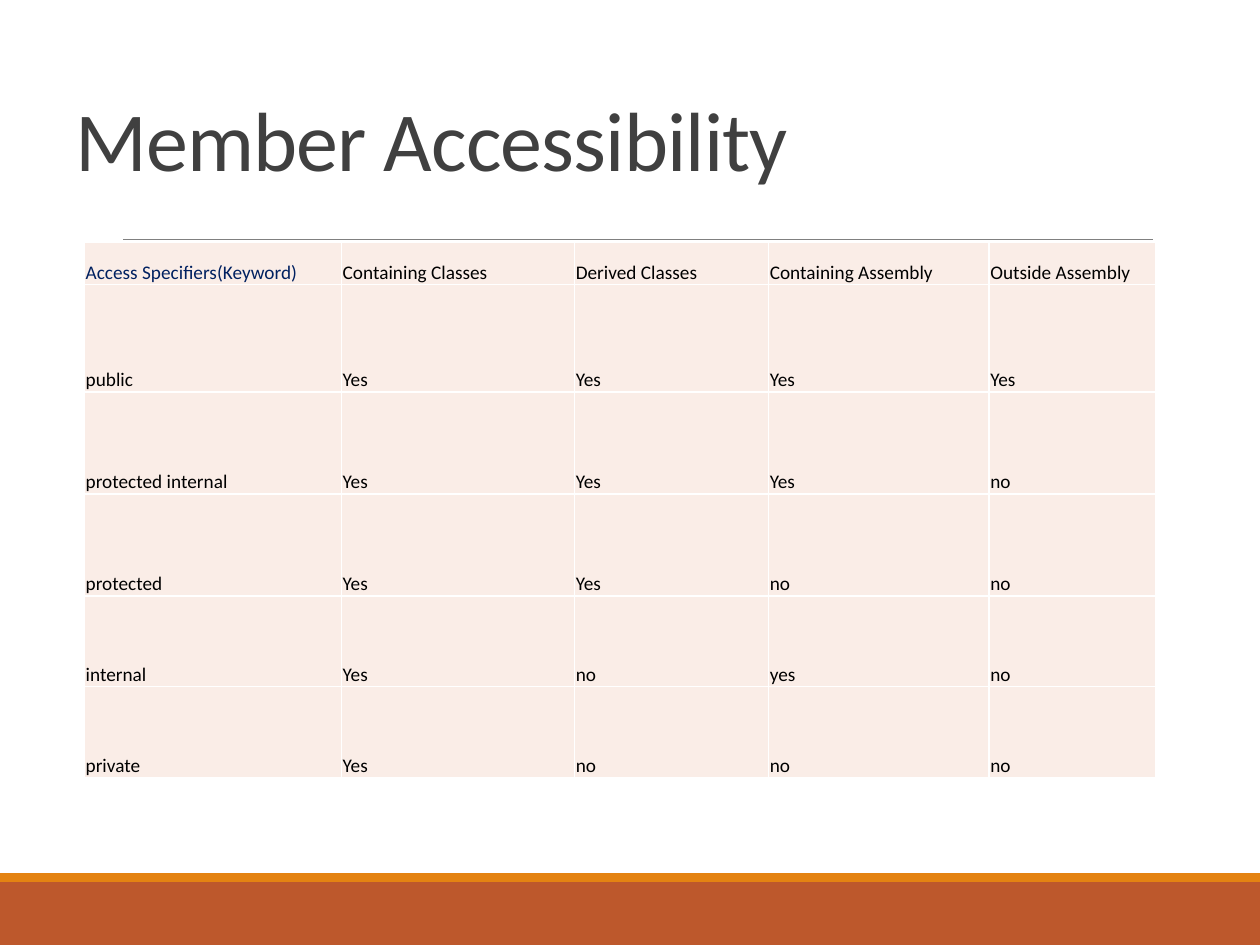
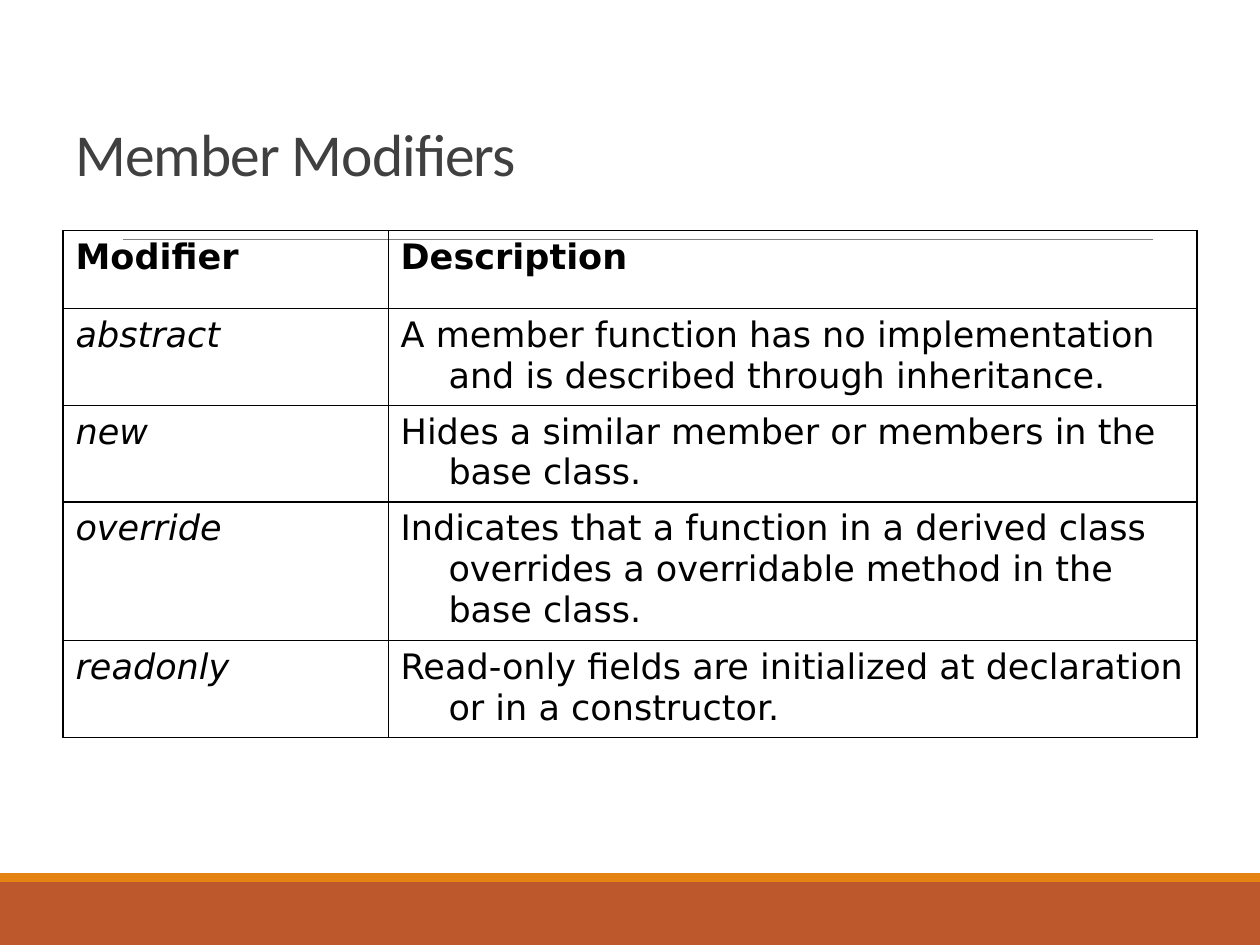
from dataclasses import dataclass, field
from typing import Any

from lxml import etree
from pptx import Presentation
from pptx.dml import color as dml
from pptx.enum import shapes, text
from pptx.oxml import ns
from pptx.util import Inches, Pt

COLORS = {
    "band": "BD582C",
    "stripe": "E48312",
    "rule": "808080",
    "title": "404040",
    "keyword": "002060",
    "ink": "000000",
    "cell": "FAEDE7",
    "white": "FFFFFF",
}


@dataclass(frozen=True)
class Band:
    top: float
    height: float
    color: str


@dataclass(frozen=True)
class TableStyle:
    font: dict[str, Any]
    border_color: str
    border_points: float
    cell_format: dict[str, Any] = field(default_factory=dict)
    cell_color: str | None = None
    hanging_indent: float = 0


@dataclass(frozen=True)
class TableSlide:
    title: str
    title_size: int
    left: float
    top: float
    columns: list[float]
    row_heights: list[float]
    rows: list[list[str]]
    style: TableStyle
    special_fonts: dict[str, dict[str, Any]]


BANDS = [Band(7, 0.5, "band"), Band(6.93, 0.07, "stripe")]

ACCESS_STYLE = TableStyle(
    font={"name": "Calibri", "size": Pt(11)},
    border_color="white",
    border_points=1,
    cell_format={
        "vertical_anchor": text.MSO_ANCHOR.BOTTOM,
        "margin_left": Inches(0.01),
        "margin_right": Inches(0.01),
        "margin_top": Inches(0.01),
        "margin_bottom": Inches(0),
    },
    cell_color="cell",
)
MODIFIER_STYLE = TableStyle(
    font={"name": "DejaVu Sans", "size": Pt(20)},
    border_color="ink",
    border_points=0.75,
    hanging_indent=0.38,
)

MODIFIERS = {
    "abstract": "A member function has no implementation and is described through inheritance.",
    "new": "Hides a similar member or members in the base class.",
    "override": "Indicates that a function in a derived class overrides a overridable method in the base class.",
    "readonly": "Read-only fields are initialized at declaration or in a constructor.",
}

TABLE_SLIDES = [
    TableSlide(
        title="Member Accessibility",
        title_size=48,
        left=0.67,
        top=1.92,
        columns=[2.04, 1.85, 1.54, 1.75, 1.32],
        row_heights=[0.34, 0.85, 0.81, 0.81, 0.72, 0.72],
        rows=[
            ["Access Specifiers(Keyword)", "Containing Classes", "Derived Classes",
             "Containing Assembly", "Outside Assembly"],
            ["public", "Yes", "Yes", "Yes", "Yes"],
            ["protected internal", "Yes", "Yes", "Yes", "no"],
            ["protected", "Yes", "Yes", "no", "no"],
            ["internal", "Yes", "no", "yes", "no"],
            ["private", "Yes", "no", "no", "no"],
        ],
        style=ACCESS_STYLE,
        special_fonts={"Access Specifiers(Keyword)": {"color": "keyword"}},
    ),
    TableSlide(
        title="Member Modifiers",
        title_size=34,
        left=0.5,
        top=1.83,
        columns=[2.58, 6.42],
        row_heights=[0.62, 0.75, 0.75, 1.07, 0.75],
        rows=[["Modifier", "Description"], *map(list, MODIFIERS.items())],
        style=MODIFIER_STYLE,
        special_fonts={
            **dict.fromkeys(["Modifier", "Description"], {"bold": True}),
            **dict.fromkeys(MODIFIERS, {"italic": True}),
        },
    ),
]


def rgb(name: str) -> dml.RGBColor:
    return dml.RGBColor.from_string(COLORS[name])


def apply_format(target: Any, values: dict[str, Any]) -> None:
    for name, value in values.items():
        setattr(target, name, value)


def format_font(font: Any, values: dict[str, Any]) -> None:
    values = dict(values)
    font.color.rgb = rgb(values.pop("color", "ink"))
    apply_format(font, values)


def draw_frame(slide: Any) -> None:
    for band in BANDS:
        shape = slide.shapes.add_shape(
            shapes.MSO_SHAPE.RECTANGLE, 0, Inches(band.top), Inches(10), Inches(band.height))
        shape.shadow.inherit = False
        shape.fill.solid()
        shape.fill.fore_color.rgb = rgb(band.color)
        shape.line.fill.background()
    rule = slide.shapes.add_connector(
        shapes.MSO_CONNECTOR.STRAIGHT, Inches(0.98), Inches(1.9), Inches(9.15), Inches(1.9))
    rule.line.color.rgb = rgb("rule")
    rule.line.width = Pt(0.5)
    etree.SubElement(rule._element.spPr, ns.qn("a:effectLst"))


def draw_title(slide: Any, title: str, size: int) -> None:
    box = slide.shapes.add_textbox(Inches(0.5), Inches(0.3), Inches(9), Inches(1.25))
    apply_format(box.text_frame, {"word_wrap": True, "vertical_anchor": text.MSO_ANCHOR.BOTTOM})
    paragraph = box.text_frame.paragraphs[0]
    paragraph.line_spacing = 0.85
    run = paragraph.add_run()
    run.text = title
    format_font(run.font, {"name": "Calibri", "size": Pt(size), "color": "title"})
    run.font._element.set("spc", "-50")


def draw_borders(cell: Any, style: TableStyle) -> None:
    properties = cell._tc.get_or_add_tcPr()
    for index, side in enumerate(["lnL", "lnR", "lnT", "lnB"]):
        line = etree.Element(ns.qn(f"a:{side}"), w=str(Pt(style.border_points)))
        fill = etree.SubElement(line, ns.qn("a:solidFill"))
        etree.SubElement(fill, ns.qn("a:srgbClr"), val=COLORS[style.border_color])
        properties.insert(index, line)


def fill_cell(cell: Any, content: str, style: TableStyle, special: dict[str, Any]) -> None:
    apply_format(cell, style.cell_format)
    if style.cell_color:
        cell.fill.solid()
        cell.fill.fore_color.rgb = rgb(style.cell_color)
    else:
        cell.fill.background()
    draw_borders(cell, style)
    paragraph = cell.text_frame.paragraphs[0]
    if style.hanging_indent:
        indent = Inches(style.hanging_indent)
        properties = paragraph._p.get_or_add_pPr()
        properties.set("marL", str(indent))
        properties.set("indent", str(-indent))
    run = paragraph.add_run()
    run.text = content
    format_font(run.font, {**style.font, **special})


def draw_table(slide: Any, content: TableSlide) -> None:
    table = slide.shapes.add_table(
        len(content.rows), len(content.columns), Inches(content.left), Inches(content.top),
        Inches(sum(content.columns)), Inches(sum(content.row_heights))).table
    apply_format(table, {"first_row": False, "horz_banding": False})
    for column, width in zip(table.columns, content.columns):
        column.width = Inches(width)
    for row, height, values in zip(table.rows, content.row_heights, content.rows):
        row.height = Inches(height)
        for cell, value in zip(row.cells, values):
            fill_cell(cell, value, content.style, content.special_fonts.get(value, {}))


def main() -> None:
    presentation = Presentation()
    apply_format(presentation, {"slide_width": Inches(10), "slide_height": Inches(7.5)})
    for content in TABLE_SLIDES:
        slide = presentation.slides.add_slide(presentation.slide_layouts[6])
        draw_frame(slide)
        draw_title(slide, content.title, content.title_size)
        draw_table(slide, content)
    presentation.save("out.pptx")


if __name__ == "__main__":
    main()
